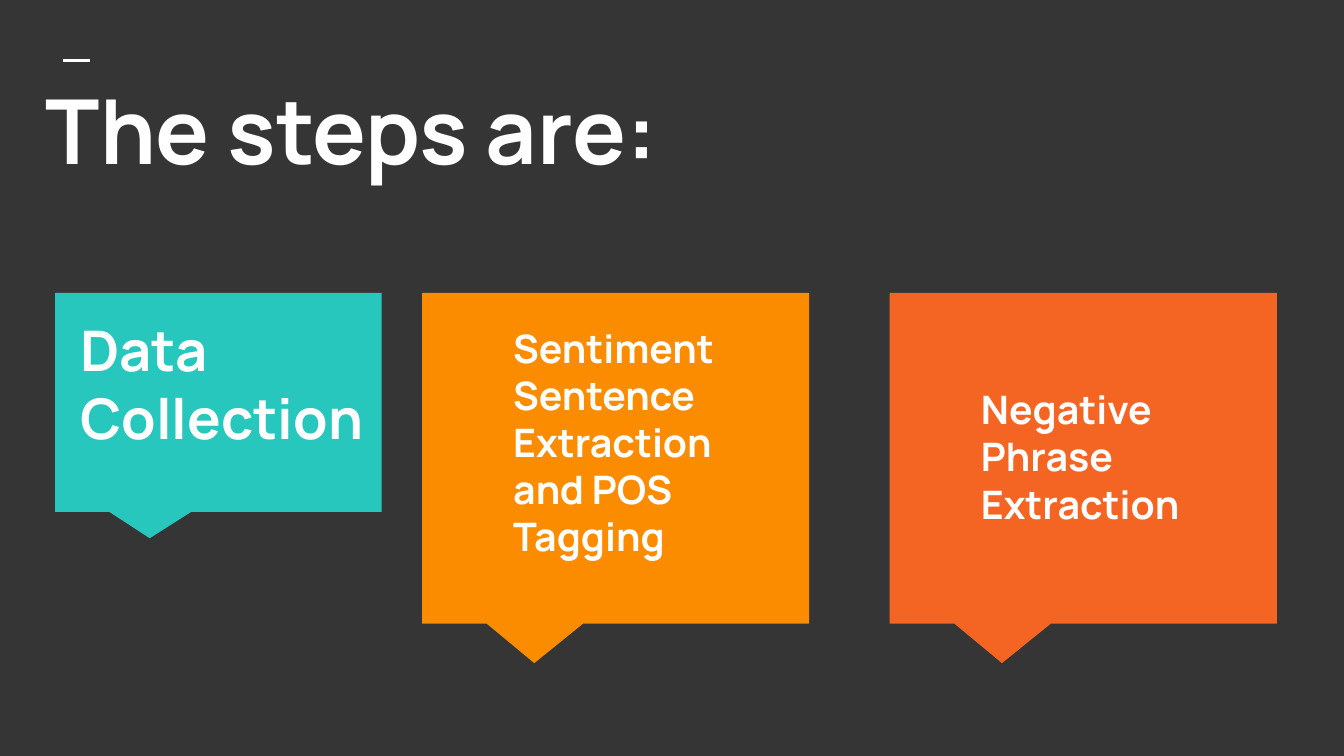
from dataclasses import dataclass

from lxml.etree import SubElement
from pptx import Presentation
from pptx.dml.color import RGBColor
from pptx.enum.shapes import MSO_CONNECTOR as Connector, MSO_SHAPE as Shape
from pptx.enum.text import MSO_ANCHOR as Anchor, MSO_AUTO_SIZE as AutoSize, PP_ALIGN as Align
from pptx.oxml.ns import qn
from pptx.util import Inches, Pt


@dataclass(frozen=True)
class Theme:
    """Colours, font and type sizes of the deck."""
    background: str = "353535"
    text: str = "FFFFFF"
    teal: str = "27C7BD"
    amber: str = "FB8C00"
    orange: str = "F46524"
    font: str = "Manrope"
    title_size: int = 48
    lead_size: int = 30
    step_size: int = 21
    leading: float = 1.2


@dataclass(frozen=True)
class Box:
    """A rectangle in inches."""
    left: float
    top: float
    width: float
    height: float

    def lengths(self):
        """Return the four lengths that python-pptx expects."""
        return [Inches(n) for n in (self.left, self.top, self.width, self.height)]


@dataclass(frozen=True)
class Step:
    """One step: its wording, look, callout box and label box within it."""
    wording: str
    colour: str
    size: int
    callout: Box
    label: Box
    top_inset: float = 0.1


THEME = Theme()
STEPS_TOP = 2.18
STEPS = [
    Step("Data Collection", THEME.teal, THEME.lead_size,
         Box(0.41, STEPS_TOP, 2.43, 1.63), Box(-0.41, 0.07, 3.06, 2.19)),
    Step("Sentiment Sentence Extraction and POS Tagging", THEME.amber, THEME.step_size,
         Box(3.14, STEPS_TOP, 2.88, 2.46), Box(0.08, 0.13, 2.71, 2.19)),
    Step("Negative Phrase Extraction", THEME.orange, THEME.step_size,
         Box(6.62, STEPS_TOP, 2.88, 2.46), Box(0.08, 0.07, 2.71, 2.19), 0.62),
]


def colour(value):
    """Turn a hex string into a colour."""
    return RGBColor.from_string(value)


def write(frame, wording, size, indent=0.0, top_inset=0.1):
    """Set one bold, left-aligned paragraph in a text frame."""
    frame.word_wrap = True
    frame.auto_size = AutoSize.NONE
    frame.vertical_anchor = Anchor.TOP
    frame.margin_left = frame.margin_right = frame.margin_bottom = Inches(0.1)
    frame.margin_top = Inches(top_inset)
    paragraph = frame.paragraphs[0]
    paragraph.alignment = Align.LEFT
    paragraph.line_spacing = Pt(size * THEME.leading)
    properties = paragraph._p.get_or_add_pPr()
    properties.set("marL", str(Inches(indent)))
    properties.set("indent", "0")
    run = paragraph.add_run()
    run.text = wording
    run.font.name = THEME.font
    run.font.size = Pt(size)
    run.font.bold = True
    run.font.color.rgb = colour(THEME.text)


def add_heading(slide, box, wording):
    """Place the short rule and the slide title."""
    rule_left, rule_top = box.left + 0.23, box.top - 0.01
    rule = slide.shapes.add_connector(
        Connector.STRAIGHT, Inches(rule_left), Inches(rule_top),
        Inches(rule_left + 0.2), Inches(rule_top))
    rule.line.color.rgb = colour(THEME.text)
    rule.line.width = Pt(1.5)
    SubElement(rule._element.spPr, qn("a:effectLst"))
    title = slide.shapes.title
    title.left, title.top, title.width, title.height = box.lengths()
    write(title.text_frame, wording, THEME.title_size)


def add_callout(slide, step):
    """Place the coloured callout of a step."""
    callout = slide.shapes.add_shape(Shape.RECTANGULAR_CALLOUT, *step.callout.lengths())
    callout.adjustments[0] = -0.21
    callout.adjustments[1] = 0.62
    callout.shadow.inherit = False
    callout.fill.solid()
    callout.fill.fore_color.rgb = colour(step.colour)
    callout.line.fill.background()


def add_label(slide, step):
    """Place the wording of a step relative to its callout."""
    offset = step.label
    box = Box(step.callout.left + offset.left, step.callout.top + offset.top,
              offset.width, offset.height)
    label = slide.shapes.add_textbox(*box.lengths())
    write(label.text_frame, step.wording, step.size, 0.5, step.top_inset)


def add_steps_slide(deck):
    """Build the slide that lists the steps."""
    slide = deck.slides.add_slide(deck.slide_layouts[5])
    slide.background.fill.solid()
    slide.background.fill.fore_color.rgb = colour(THEME.background)
    add_heading(slide, Box(0.24, 0.46, 9.43, 1.12), "The steps are:")
    for step in STEPS:
        add_callout(slide, step)
    for step in STEPS:
        add_label(slide, step)


def main():
    """Create and save the deck."""
    deck = Presentation()
    deck.slide_width = Inches(10)
    deck.slide_height = deck.slide_width * 9 // 16
    add_steps_slide(deck)
    deck.save("out.pptx")


if __name__ == "__main__":
    main()
